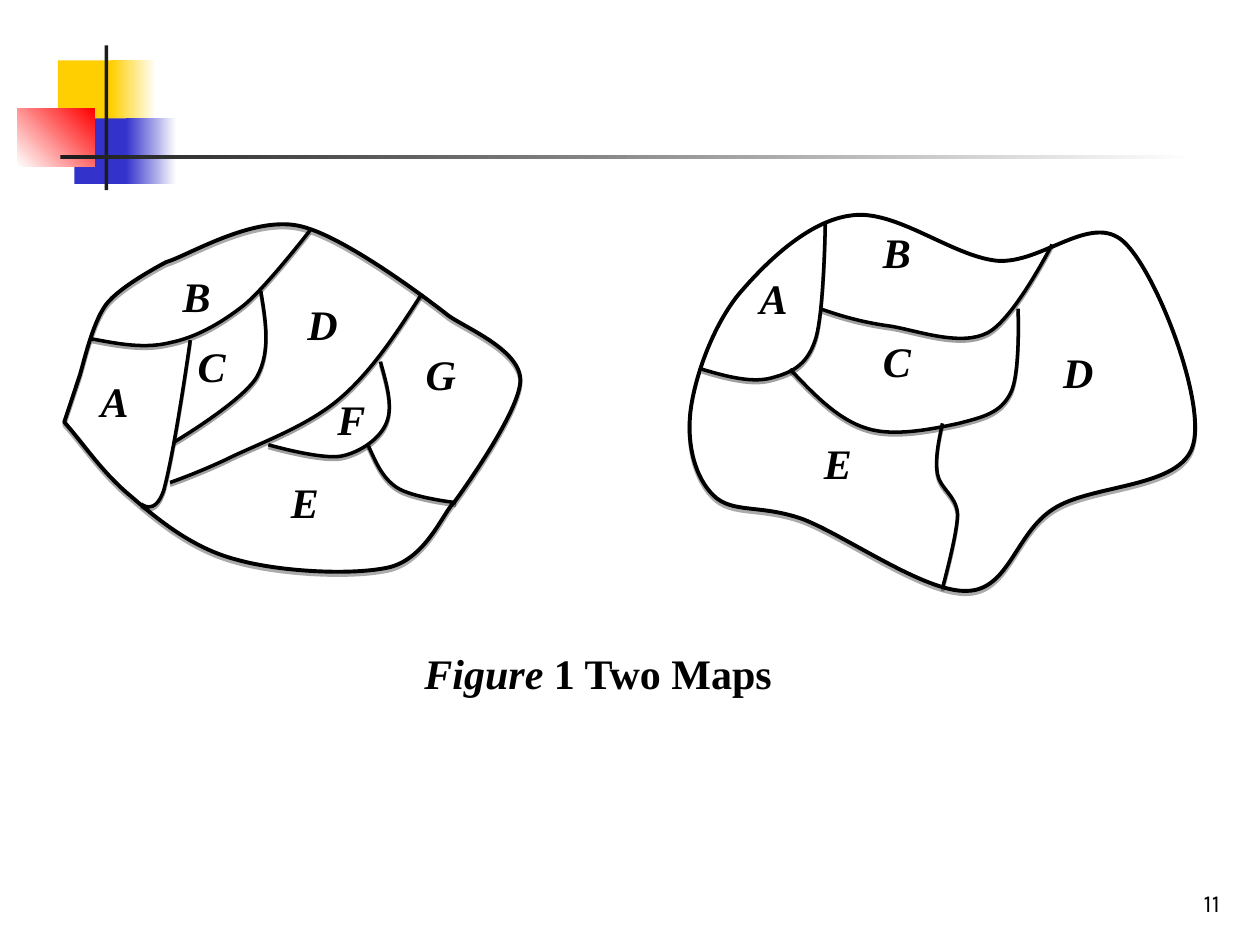
from lxml import etree
from pptx import Presentation
from pptx import util as u
from pptx.dml.color import RGBColor
from pptx.enum import shapes, text
from pptx.oxml import ns

COLORS = {"ink": "000000", "paper": "FFFFFF", "yellow": "FFCF01",
          "blue": "3333CC", "red": "FF0000", "bar": "1C1C1C"}
OUTLINE = {"width": 2.25, "alpha": 33, "distance": 1.8}
BORDER = {"width": 2, "alpha": 36, "distance": 1.6}

# left, top, width, height, gradient stops (one stop is a solid fill), angle
DECORATION = [
    (0.46, 0.48, 0.48, 0.52, ["yellow"], 0),
    (0.88, 0.48, 0.36, 0.52, ["yellow", "paper"], 0),
    (0.59, 0.94, 0.46, 0.52, ["blue"], 0),
    (1, 0.94, 0.4, 0.52, ["blue", "paper"], 0),
    (0.14, 0.86, 0.61, 0.46, ["paper", "red"], 45),
    (0.83, 0.36, 0.03, 1.15, ["bar"], 0),
    (0.48, 1.23, 9, 0.03, ["bar", "paper"], 0),
]

# Each curve is a start point, then two controls and an end for every arc.
LEFT_MAP = {
    "fill": None,
    "outline": [
        (0.51, 3.35), (0.51, 3.35), (0.63, 2.99), (0.63, 2.99),
        (0.66, 2.9), (0.73, 2.57), (0.84, 2.42),
        (0.95, 2.27), (1.32, 2.08), (1.32, 2.08),
        (1.49, 2.03), (1.99, 1.72), (2.36, 1.79),
        (2.74, 1.86), (3.54, 2.49), (3.54, 2.49),
        (3.64, 2.58), (4.12, 2.76), (4.13, 3.01),
        (4.14, 3.26), (3.61, 3.98), (3.61, 3.98),
        (3.52, 4.06), (3.39, 4.42), (3.1, 4.5),
        (2.81, 4.57), (2.22, 4.54), (1.87, 4.44),
        (1.53, 4.35), (1.26, 4.13), (1.04, 3.94),
        (0.81, 3.75), (0.67, 3.53), (0.51, 3.35)],
    "borders": [
        [(0.73, 2.69), (0.94, 2.73), (1.15, 2.77), (1.35, 2.72),
         (1.55, 2.68), (1.75, 2.57), (1.94, 2.42),
         (2.12, 2.27), (2.46, 1.83), (2.46, 1.83)],
        [(1.51, 2.7), (1.44, 3.19), (1.36, 3.67), (1.3, 3.89),
         (1.23, 4.1), (1.12, 4), (1.12, 4)],
        [(2.07, 2.31), (2.11, 2.55), (2.15, 2.79), (2.04, 2.99),
         (1.92, 3.19), (1.38, 3.51), (1.38, 3.51)],
        [(3.35, 2.33), (3.15, 2.64), (2.95, 2.95), (2.69, 3.17),
         (2.43, 3.39), (2.03, 3.53), (1.81, 3.64),
         (1.58, 3.75), (1.35, 3.83), (1.35, 3.83)],
        [(3.02, 2.87), (3.07, 3.05), (3.12, 3.22), (3.07, 3.35),
         (3.02, 3.48), (2.86, 3.59), (2.71, 3.62),
         (2.55, 3.65), (2.13, 3.53), (2.13, 3.53)],
        [(2.92, 3.53), (2.98, 3.66), (3.03, 3.79), (3.15, 3.87),
         (3.27, 3.95), (3.62, 3.99), (3.62, 3.99)]],
    "label_size": (0.52, 0.61),
    "labels": {"A": (0.7, 2.93), "B": (1.35, 2.1), "C": (1.47, 2.65),
               "D": (2.34, 2.32), "F": (2.58, 3.07), "E": (2.21, 3.73),
               "G": (3.28, 2.72)},
}
RIGHT_MAP = {
    "fill": "paper",
    "outline": [
        (5.48, 3.27), (5.51, 3.01), (5.65, 2.6), (5.86, 2.34),
        (6.08, 2.08), (6.42, 1.75), (6.76, 1.71),
        (7.11, 1.66), (7.55, 2.03), (7.91, 2.07),
        (8.27, 2.1), (8.66, 1.68), (8.92, 1.92),
        (9.18, 2.16), (9.57, 3.18), (9.47, 3.53),
        (9.38, 3.88), (8.66, 3.84), (8.36, 4.04),
        (8.06, 4.23), (8.01, 4.68), (7.68, 4.69),
        (7.35, 4.71), (6.71, 4.25), (6.37, 4.12),
        (6.03, 4), (5.81, 4.08), (5.66, 3.93),
        (5.52, 3.79), (5.45, 3.54), (5.48, 3.27)],
    "borders": [
        [(5.57, 2.93), (5.77, 2.99), (5.97, 3.04), (6.12, 3),
         (6.27, 2.96), (6.4, 2.91), (6.47, 2.7),
         (6.54, 2.5), (6.55, 1.77), (6.55, 1.77)],
        [(6.51, 2.45), (6.68, 2.51), (6.85, 2.56), (7.08, 2.59),
         (7.3, 2.63), (7.63, 2.75), (7.84, 2.64),
         (8.05, 2.53), (8.35, 1.94), (8.35, 1.94)],
        [(6.27, 2.93), (6.46, 3.13), (6.65, 3.33), (6.88, 3.4),
         (7.1, 3.47), (7.42, 3.4), (7.61, 3.36),
         (7.8, 3.31), (7.94, 3.28), (8.02, 3.12),
         (8.1, 2.97), (8.08, 2.45), (8.08, 2.45)],
        [(7.48, 3.36), (7.45, 3.5), (7.42, 3.64), (7.44, 3.76),
         (7.46, 3.88), (7.59, 3.93), (7.6, 4.08),
         (7.6, 4.23), (7.48, 4.67), (7.48, 4.67)]],
    "label_size": (0.44, 0.72),
    "labels": {"A": (5.93, 2.11), "B": (6.91, 1.75), "C": (6.91, 2.61),
               "D": (8.34, 2.7), "E": (6.44, 3.42)},
}


def color(name):
    return RGBColor.from_string(COLORS[name])


def set_fill(fill, name):
    if name is None:
        fill.background()
    else:
        fill.solid()
        fill.fore_color.rgb = color(name)


def add_block(slide, left, top, width, height, stops, angle):
    block = slide.shapes.add_shape(
        shapes.MSO_SHAPE.RECTANGLE, *map(u.Inches, (left, top, width, height)))
    block.shadow.inherit = False
    block.line.fill.background()
    if len(stops) == 1:
        set_fill(block.fill, stops[0])
        return
    block.fill.gradient()
    block.fill.gradient_angle = angle
    for stop, name in zip(block.fill.gradient_stops, stops):
        stop.color.rgb = color(name)


def add_drop_shadow(shape, alpha, distance):
    shape.shadow.inherit = False
    effects = shape.element.spPr.find(ns.qn("a:effectLst"))
    shadow = etree.SubElement(effects, ns.qn("a:outerShdw"), blurRad="0",
                              dist=str(u.Pt(distance)), dir="5400000", rotWithShape="0")
    tint = etree.SubElement(shadow, ns.qn("a:srgbClr"), val=COLORS["ink"])
    etree.SubElement(tint, ns.qn("a:alpha"), val=str(alpha * 1000))


def curve_span(arcs, axis):
    """Return the least and greatest place that the arcs reach on an axis."""
    reached = []
    for arc in arcs:
        a, b, c, d = (point[axis] for point in arc)
        for t in (step / 20 for step in range(21)):
            s = 1 - t
            reached.append(a * s ** 3 + 3 * b * t * s * s + 3 * c * t * t * s + d * t ** 3)
    return u.Inches(min(reached)), u.Inches(max(reached))


def bend_segments(curve, arcs):
    """Turn the straight segments of a freeform into cubic arcs."""
    (left, right), (top, bottom) = (curve_span(arcs, axis) for axis in (0, 1))
    curve.left, curve.top = left, top
    curve.width, curve.height = right - left, bottom - top
    route = curve.element.spPr.find(".//" + ns.qn("a:path"))
    route.set("w", str(curve.width))
    route.set("h", str(curve.height))

    def set_points(command, points):
        for old in list(command):
            command.remove(old)
        for x, y in points:
            etree.SubElement(command, ns.qn("a:pt"), x=str(u.Inches(x) - left),
                             y=str(u.Inches(y) - top))

    set_points(route.find(ns.qn("a:moveTo")), arcs[0][:1])
    for segment, arc in zip(route.findall(ns.qn("a:lnTo")), arcs):
        if arc[0] == arc[1] and arc[2] == arc[3]:
            set_points(segment, arc[3:])
        else:
            bend = etree.Element(ns.qn("a:cubicBezTo"))
            set_points(bend, arc[1:])
            route.replace(segment, bend)


def add_curve(group, points, style, fill=None, close=False):
    arcs = [points[first:first + 4] for first in range(0, len(points) - 1, 3)]
    builder = group.shapes.build_freeform(*map(u.Inches, points[0]))
    builder.add_line_segments([tuple(map(u.Inches, arc[3])) for arc in arcs], close=close)
    curve = builder.convert_to_shape()
    bend_segments(curve, arcs)
    set_fill(curve.fill, fill)
    curve.line.color.rgb = color("ink")
    curve.line.width = u.Pt(style["width"])
    add_drop_shadow(curve, style["alpha"], style["distance"])


def add_text(parent, place, spans, align=text.PP_ALIGN.LEFT,
             anchor=text.MSO_ANCHOR.TOP, **changes):
    """Add one line of text; spans are pairs of words and italic."""
    box = parent.shapes.add_textbox(*map(u.Inches, place))
    box.text_frame.word_wrap = True
    box.text_frame.vertical_anchor = anchor
    para = box.text_frame.paragraphs[0]
    para.alignment = align
    for words, italic in spans:
        span = para.add_run()
        span.text = words
        font = {"name": "Times New Roman", "size": u.Pt(24), "bold": True,
                "italic": italic, **changes}
        for key, value in font.items():
            setattr(span.font, key, value)
        span.font.color.rgb = color("ink")


def add_map(slide, regions):
    group = slide.shapes.add_group_shape()
    add_curve(group, regions["outline"], OUTLINE, regions["fill"], close=True)
    for border in regions["borders"]:
        add_curve(group, border, BORDER)
    for letter, corner in regions["labels"].items():
        add_text(group, corner + regions["label_size"], [(letter, True)])


def main():
    deck = Presentation()
    deck.slide_width, deck.slide_height = u.Inches(10), u.Inches(7.5)
    slide = deck.slides.add_slide(deck.slide_layouts.get_by_name("Blank"))
    for block in DECORATION:
        add_block(slide, *block)
    add_text(slide, (7.7, 6.83, 2.08, 0.5), [("11", False)], text.PP_ALIGN.RIGHT,
             text.MSO_ANCHOR.BOTTOM, name="Karla", size=u.Pt(14), bold=False)
    for regions in (LEFT_MAP, RIGHT_MAP):
        add_map(slide, regions)
    add_text(slide, (3.27, 5.09, 3.32, 0.63), [("Figure ", True), ("1 Two Maps", False)])
    deck.save("out.pptx")


if __name__ == "__main__":
    main()
